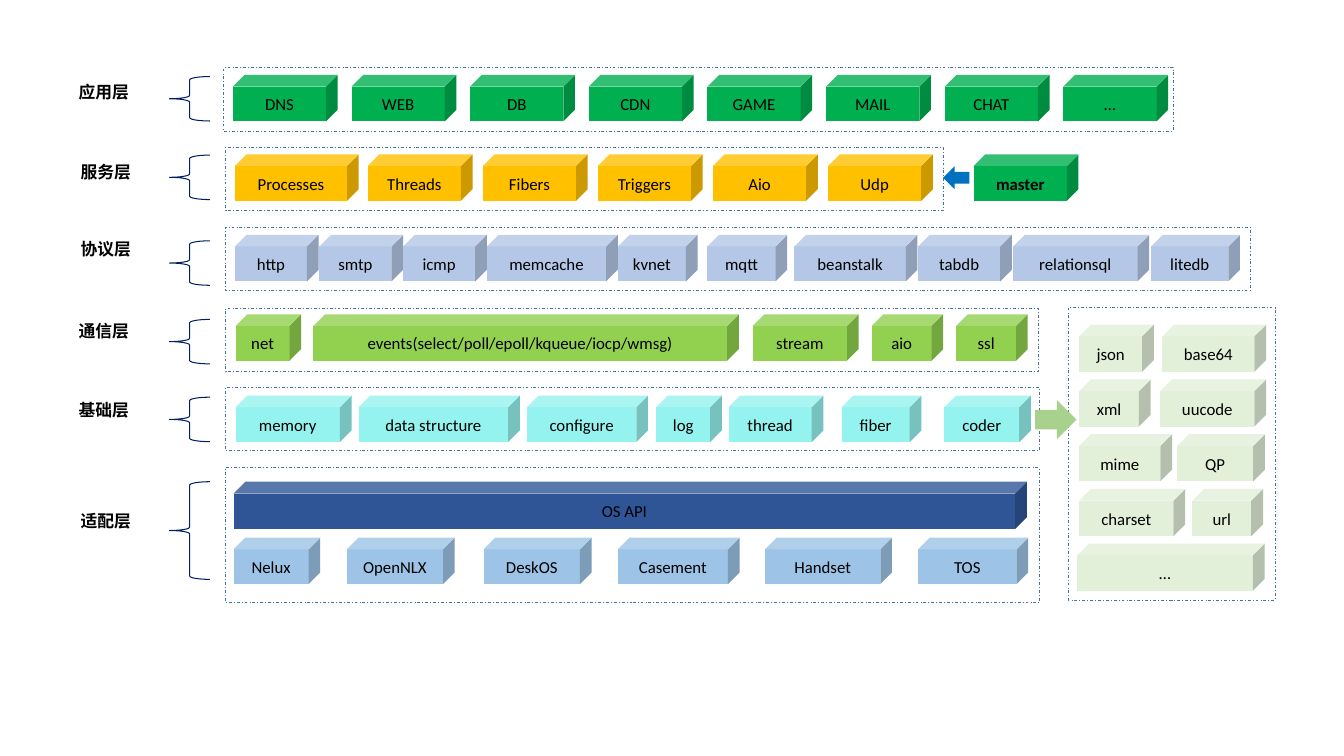
from pptx import Presentation
from pptx.dml.color import RGBColor
from pptx.enum.dml import MSO_LINE
from pptx.enum.shapes import MSO_SHAPE
from pptx.enum.text import MSO_ANCHOR, PP_ALIGN
from pptx.util import Cm, Pt

CUBE, FRAME, BRACE = MSO_SHAPE.CUBE, MSO_SHAPE.RECTANGLE, MSO_SHAPE.LEFT_BRACE
LEFT_ARROW, RIGHT_ARROW = MSO_SHAPE.LEFT_ARROW, MSO_SHAPE.RIGHT_ARROW
DASH_DOT = MSO_LINE.DASH_DOT
MIDDLE, CENTER = MSO_ANCHOR.MIDDLE, PP_ALIGN.CENTER

COLORS = {
    "application": "00B050", "service": "FFC000", "protocol": "B4C7E7",
    "communication": "92D050", "base": "95F3EF", "api": "2F5597",
    "system": "9DC3E6", "coder": "E2F0D9", "master_arrow": "0070C0",
    "coder_arrow": "A9D18E", "frame": "43739E", "brace": "002060",
    "text": "000000",
}
CUBE_HEIGHT, TALL_CUBE, CUBE_WIDTH = 1.17, 1.19, 2.64

prs = Presentation()
prs.slide_width, prs.slide_height = Cm(33.87), Cm(19.05)
slide = prs.slides.add_slide(prs.slide_layouts[6])


def write(holder, text, bold=False):
    """Put 12 pt text into a shape and return its paragraph."""
    holder.text_frame.text = text
    paragraph = holder.text_frame.paragraphs[0]
    font = paragraph.runs[0].font
    font.name, font.size, font.bold = "Calibri", Pt(12), bold
    font.color.rgb = RGBColor.from_string(COLORS["text"])
    return paragraph


def draw(kind, box, fill=None, line=None, weight=0.5, text="", bold=False):
    """Add a preset shape at box (left, top, width, height in cm)."""
    shape = slide.shapes.add_shape(kind, *[Cm(length) for length in box])
    shape.shadow.inherit = False
    if fill:
        shape.fill.solid()
        shape.fill.fore_color.rgb = RGBColor.from_string(COLORS[fill])
    else:
        shape.fill.background()
    if line:
        shape.line.color.rgb = RGBColor.from_string(COLORS[line])
        shape.line.width = Pt(weight)
    else:
        shape.line.fill.background()
    if text:
        write(shape, text, bold).alignment = CENTER
        shape.text_frame.word_wrap = False
        shape.text_frame.vertical_anchor = MIDDLE
    return shape


# Layers: name, label left and top, brace top and height, frame box
layers = [
    ("应用层", 1.73, 1.93, 1.93, 1.12, (5.64, 1.7, 23.93, 1.6)),
    ("服务层", 1.78, 3.94, 3.91, 1.12, (5.69, 3.71, 18.08, 1.6)),
    ("协议层", 1.78, 5.89, 6.07, 1.12, (5.69, 5.72, 25.81, 1.6)),
    ("通信层", 1.73, 7.95, 8.05, 1.12, (5.69, 7.77, 20.47, 1.6)),
    ("基础层", 1.73, 9.96, 10.01, 1.12, (5.69, 9.75, 20.5, 1.6)),
    ("适配层", 1.78, 12.75, 12.14, 2.46, (5.69, 11.79, 20.5, 3.4)),
]
coder_frame = (26.92, 7.75, 5.21, 7.37)

for name, label_left, label_top, brace_top, brace_height, _ in layers:
    label = slide.shapes.add_textbox(
        Cm(label_left), Cm(label_top), Cm(2.74), Cm(1.14))
    label.text_frame.word_wrap = True
    write(label, name, bold=True)
    draw(BRACE, (4.27, brace_top, 1.02, brace_height), line="brace", weight=0.75)

for frame_box in [layer[-1] for layer in layers] + [coder_frame]:
    draw(FRAME, frame_box, line="frame").line.dash_style = DASH_DOT

# Each row: colour, top, cube height, modules as (text, left, width)
applications = ["DNS", "WEB", "DB", "CDN", "GAME", "MAIL", "CHAT", "…"]
services = ["Threads", "Fibers", "Triggers", "Aio", "Udp"]
rows = [
    ("application", 1.89, CUBE_HEIGHT,
     [(name, 5.87 + 2.99 * i, CUBE_WIDTH) for i, name in enumerate(applications)]),
    ("service", 3.89, CUBE_HEIGHT,
     [("Processes", 5.92, 3.12)]
     + [(name, 9.27 + 2.9 * i, CUBE_WIDTH) for i, name in enumerate(services)]),
    ("protocol", 5.92, CUBE_HEIGHT,
     [("http", 5.92, 2.11), ("smtp", 8.05, 2.11), ("icmp", 10.16, 2.11),
      ("memcache", 12.27, 3.3), ("kvnet", 15.57, 2.01), ("mqtt", 17.83, 2.01),
      ("beanstalk", 20.02, 3.1), ("tabdb", 23.14, 2.36),
      ("relationsql", 25.53, 3.43), ("litedb", 29.01, 2.24)]),
    ("communication", 7.92, CUBE_HEIGHT,
     [("net", 5.94, 1.65),
      ("events(select/poll/epoll/kqueue/iocp/wmsg)", 7.9, 10.72),
      ("stream", 18.97, 2.67), ("aio", 21.97, 1.8), ("ssl", 24.1, 1.8)]),
    ("base", 9.97, CUBE_HEIGHT,
     [("memory", 5.94, 2.92), ("data structure", 9.04, 4.06),
      ("configure", 13.28, 3.05), ("log", 16.54, 1.65),
      ("thread", 18.36, 2.39), ("fiber", 21.21, 2.01), ("coder", 23.8, 2.18)]),
    ("api", 12.14, TALL_CUBE, [("OS API", 5.89, 19.99)]),
    ("system", 13.55, CUBE_HEIGHT,
     [("Nelux", 5.89, 2.18), ("OpenNLX", 8.74, 2.72), ("DeskOS", 12.19, 2.72),
      ("Casement", 15.57, 3.07), ("Handset", 19.28, 3.2), ("TOS", 23.14, 2.77)]),
]

coders = [
    [("json", 27.2, 1.88), ("base64", 29.29, 2.62)],
    [("xml", 27.2, 1.8), ("uucode", 29.24, 2.67)],
    [("mime", 27.2, 2.34), ("QP", 29.67, 2.21)],
    [("charset", 27.2, 2.67), ("url", 30.05, 1.78)],
    [("…", 27.15, 4.72)],
]
rows += [("coder", 8.18 + 1.38 * i, TALL_CUBE, pair) for i, pair in enumerate(coders)]

for color, top, height, modules in rows:
    for name, left, width in modules:
        draw(CUBE, (left, top, width, height), fill=color, text=name)

draw(CUBE, (24.54, 3.89, CUBE_WIDTH, CUBE_HEIGHT),
     fill="application", text="master", bold=True)
draw(LEFT_ARROW, (23.77, 4.19, 0.66, 0.58), fill="master_arrow")
draw(RIGHT_ARROW, (26.09, 10.08, 1.04, 0.99), fill="coder_arrow")

prs.save("out.pptx")
